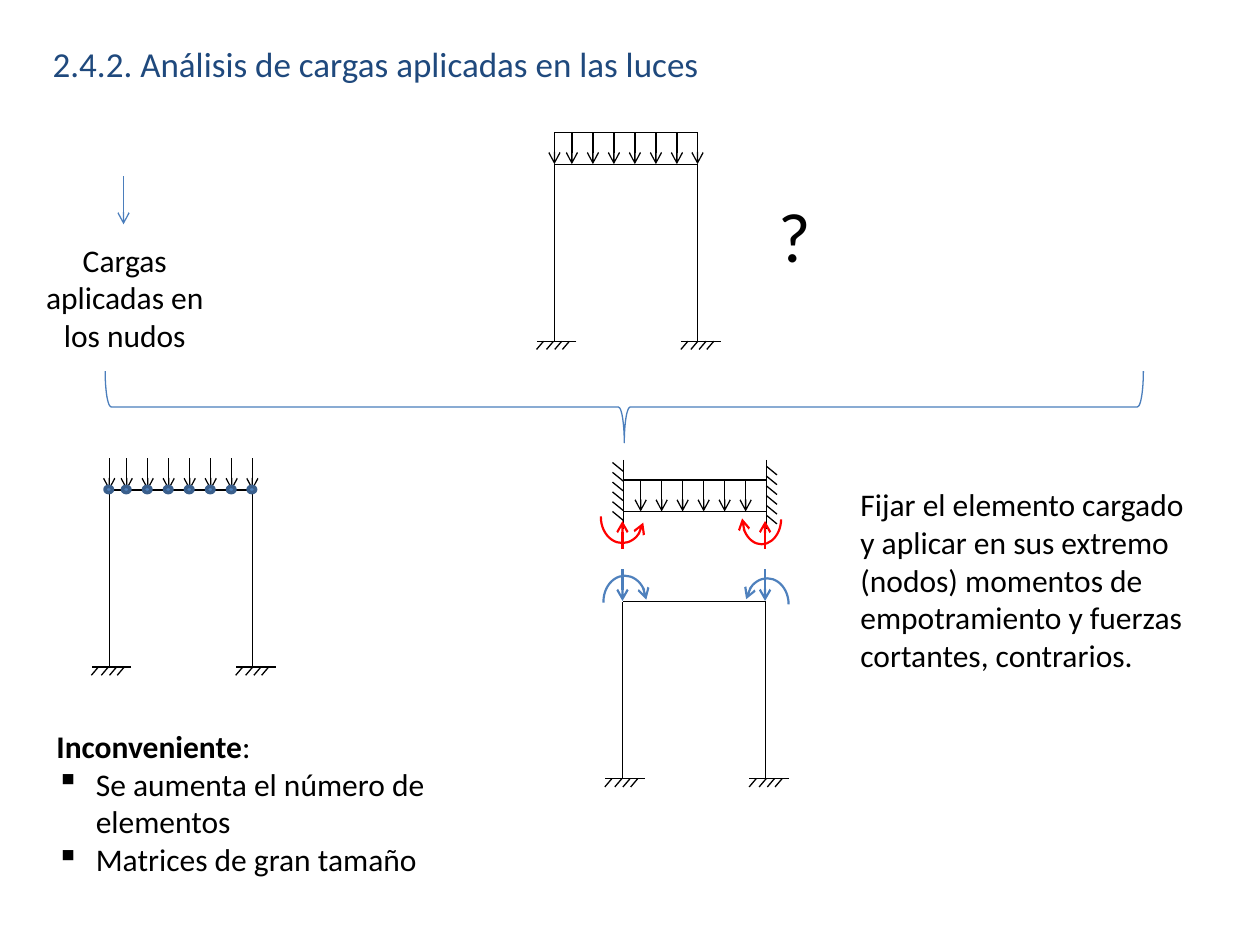
from dataclasses import dataclass

from lxml.etree import SubElement
from pptx import Presentation
from pptx.dml.color import RGBColor
from pptx.enum.shapes import MSO_CONNECTOR, MSO_SHAPE
from pptx.enum.text import MSO_AUTO_SIZE, PP_ALIGN
from pptx.oxml.ns import qn
from pptx.util import Pt


@dataclass(frozen=True)
class Theme:
    font: str = "Calibri"
    black: str = "000000"
    title: str = "1F497D"
    red: str = "FF0000"
    blue: str = "4B7EBC"
    arc_blue: str = "4F81BD"
    dot_line: str = "3A5F8C"
    title_size: float = 20
    body_size: float = 18
    mark_size: float = 40
    thin: float = 0.75
    medium: float = 1.25
    thick: float = 2


THEME = Theme()


@dataclass(frozen=True)
class Span:
    text: str
    bold: bool = False


@dataclass(frozen=True)
class Paragraph:
    spans: tuple[Span, ...]
    bullet: bool = False


@dataclass(frozen=True)
class TextBox:
    area: tuple[float, float, float, float]
    paragraphs: tuple[Paragraph, ...]
    size: float = THEME.body_size
    color: str = THEME.black
    align: PP_ALIGN = PP_ALIGN.LEFT
    wrap: bool = True
    grow: bool = True


@dataclass(frozen=True)
class Moment:
    area: tuple[float, float, float, float]
    start: float
    end: float
    color: str
    flipped: bool = True
    arrow_end: str = "tailEnd"


def plain(text: str) -> tuple[Paragraph, ...]:
    return (Paragraph((Span(text),)),)


TEXT_BOXES = [
    TextBox((23, 20.9, 630, 39.6), plain("2.4.2. Análisis de cargas aplicadas en las luces"),
            THEME.title_size, THEME.title, grow=False),
    TextBox((25.2, 411.8, 249.8, 94.3), (
        Paragraph((Span("Inconveniente", True), Span(":"))),
        Paragraph((Span("Se aumenta el número de elementos"),), True),
        Paragraph((Span("Matrices de gran tamaño"),), True))),
    TextBox((13, 133.9, 116.6, 72.7), plain("Cargas aplicadas en los nudos"),
            align=PP_ALIGN.CENTER),
    TextBox((437.8, 106.6, 33.1, 55.4), plain("?"), THEME.mark_size, wrap=False),
    TextBox((484.6, 273.6, 199.4, 138.2), plain(
        "Fijar el elemento cargado y aplicar en sus extremo (nodos) momentos de "
        "empotramiento y fuerzas cortantes, contrarios.")),
]

MOMENTS = [
    Moment((424.1, 281.5, 22.3, 29.5), 2.7, 180.2, THEME.red, flipped=False),
    Moment((343.4, 280.8, 24.5, 29.5), 357.6, 165.6, THEME.red),
    Moment((344.9, 329, 24.5, 29.5), 185.1, 2.9, THEME.arc_blue, arrow_end="headEnd"),
    Moment((426.2, 330.5, 24.5, 29.5), 179.7, 346.9, THEME.arc_blue),
]

SPAN_WIDTH = 81.8
LEG_HEIGHT = 101.2
LOAD_HEIGHT = 18
INNER_LOADS = [10 + 12 * index for index in range(6)]
ALL_LOADS = [0, *INNER_LOADS, SPAN_WIDTH]
GROUND_WIDTH = 22.7
GROUND_HATCHES = [3.9, 9.6, 14.3, 18.7]


def style_line(shape, color: str, width: float, arrow_end: str = "") -> None:
    shape.line.color.rgb = RGBColor.from_string(color)
    shape.line.width = Pt(width)
    if arrow_end:
        SubElement(shape.line._get_or_add_ln(), qn(f"a:{arrow_end}"), type="arrow")


def draw_line(shapes, x1: float, y1: float, x2: float, y2: float,
              color: str = THEME.black, width: float = THEME.thin, arrow_end: str = "") -> None:
    line = shapes.add_connector(MSO_CONNECTOR.STRAIGHT, Pt(x1), Pt(y1), Pt(x2), Pt(y2))
    style_line(line, color, width, arrow_end)
    SubElement(line.element.spPr, qn("a:effectLst"))


def draw_outline(shapes, kind: MSO_SHAPE, area: tuple[float, ...], color: str,
                 width: float, arrow_end: str = ""):
    shape = shapes.add_shape(kind, *map(Pt, area))
    shape.shadow.inherit = False
    shape.fill.background()
    style_line(shape, color, width, arrow_end)
    return shape


def draw_text(shapes, item: TextBox) -> None:
    box = shapes.add_textbox(*map(Pt, item.area))
    frame = box.text_frame
    frame.word_wrap = item.wrap
    frame.auto_size = MSO_AUTO_SIZE.SHAPE_TO_FIT_TEXT if item.grow else MSO_AUTO_SIZE.NONE
    for index, content in enumerate(item.paragraphs):
        paragraph = frame.add_paragraph() if index else frame.paragraphs[0]
        paragraph.alignment = item.align
        if content.bullet:
            properties = paragraph._p.get_or_add_pPr()
            for name, value in {"marL": Pt(22.5), "indent": -Pt(22.5)}.items():
                properties.set(name, str(int(value)))
            SubElement(properties, qn("a:buChar"), char="▪")
        for span in content.spans:
            run = paragraph.add_run()
            run.text = span.text
            formats = {"name": THEME.font, "size": Pt(item.size), "bold": span.bold}
            for name, value in formats.items():
                setattr(run.font, name, value)
            run.font.color.rgb = RGBColor.from_string(item.color)


def draw_portal(shapes, left: float, beam: float) -> None:
    right, base = left + SPAN_WIDTH, beam + LEG_HEIGHT
    draw_line(shapes, right, beam, left, beam)
    for leg, ground in ((left, left - 10.1), (right, right - 9.4)):
        draw_line(shapes, leg, base, leg, beam)
        draw_line(shapes, ground + GROUND_WIDTH, base, ground, base)
        for hatch in GROUND_HATCHES:
            draw_line(shapes, ground + hatch, base, ground + hatch - 4, base + 4.7)


def draw_loads(shapes, left: float, beam: float, offsets: list[float]) -> None:
    for offset in offsets:
        draw_line(shapes, left + offset, beam - LOAD_HEIGHT, left + offset, beam,
                  arrow_end="tailEnd")


def draw_nodes(shapes, left: float, beam: float) -> None:
    for offset in ALL_LOADS:
        area = (left + offset - 2.4, beam - 2.1, 4.3, 3.6)
        node = draw_outline(shapes, MSO_SHAPE.OVAL, area, THEME.dot_line, THEME.thick)
        node.fill.solid()
        node.fill.fore_color.rgb = RGBColor.from_string(THEME.arc_blue)


def draw_fixed_beam(shapes, left: float, beam: float) -> None:
    right = left + SPAN_WIDTH
    for level in (beam, beam - LOAD_HEIGHT):
        draw_line(shapes, right, level, left, level)
    for wall, hatch_left, first in ((left, left - 6.1, 269.3), (right, right, 271.4)):
        draw_line(shapes, wall, 262.8, wall, 302.4)
        for index in range(6):
            bottom = first + 5.6 * index
            draw_line(shapes, hatch_left + 6.1, bottom, hatch_left, bottom - 5)
    draw_loads(shapes, left, beam, INNER_LOADS)


def draw_moment(shapes, moment: Moment) -> None:
    arc = draw_outline(shapes, MSO_SHAPE.ARC, moment.area, moment.color,
                       THEME.medium, moment.arrow_end)
    for index, degrees in enumerate((moment.start, moment.end)):
        arc.adjustments[index] = degrees * 0.6
    if moment.flipped:
        arc.element.spPr.find(qn("a:xfrm")).set("flipH", "1")


def main() -> None:
    deck = Presentation()
    deck.slide_width, deck.slide_height = Pt(720), Pt(540)
    page = deck.slides.add_slide(deck.slide_layouts[6])
    for item in TEXT_BOXES:
        draw_text(page.shapes, item)
    draw_line(page.shapes, 70.6, 100.8, 70.6, 128.2, THEME.blue, arrow_end="tailEnd")
    brace = draw_outline(page.shapes, MSO_SHAPE.RIGHT_BRACE, (336.2, -64.1, 41, 593.3),
                         THEME.blue, THEME.thin)
    brace.rotation = 90

    loaded, noded, released = (page.shapes.add_group_shape().shapes for _ in range(3))
    draw_portal(loaded, 316.8, 93.8)
    draw_loads(loaded, 316.8, 93.8, ALL_LOADS)
    draw_line(loaded, 398.6, 75.8, 316.8, 75.8)

    draw_portal(noded, 62.4, 280)
    draw_loads(noded, 62.4, 280, ALL_LOADS)
    draw_nodes(noded, 62.4, 280)

    draw_portal(released, 355.8, 343.8)
    draw_fixed_beam(released, 356.1, 292.3)
    for end in (355.7, 437.2):
        draw_line(released, end, 313.6, end, 297.7, THEME.red, THEME.medium, "tailEnd")
        draw_line(released, end, 325.4, end, 343.4, THEME.blue, THEME.medium, "tailEnd")
    for moment in MOMENTS:
        draw_moment(released, moment)
    deck.save("out.pptx")


if __name__ == "__main__":
    main()
